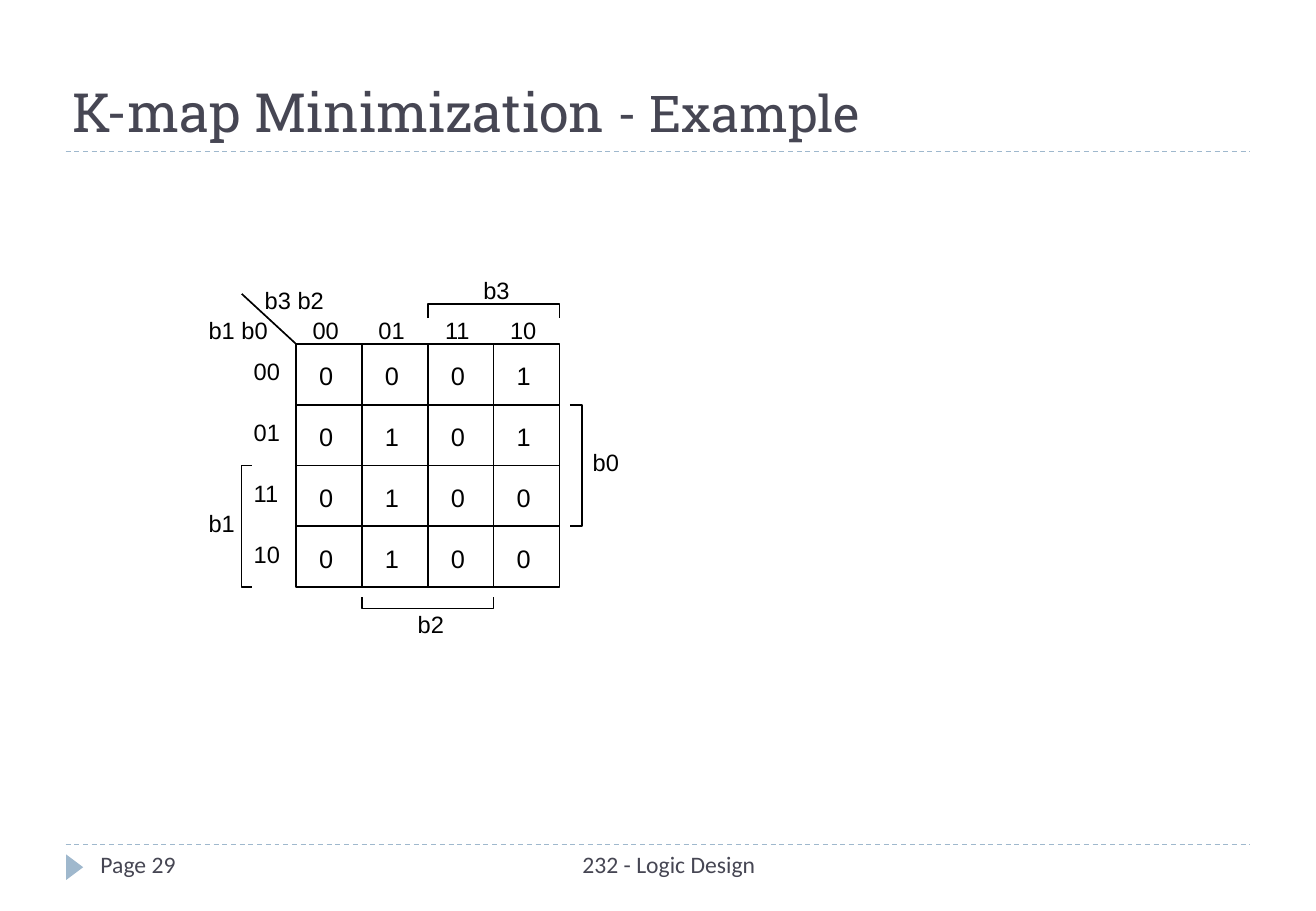
"""Build the K-map minimization example slide."""
from pptx import Presentation
from pptx import util as u
from pptx.dml.color import RGBColor
from pptx.enum import dml, shapes, text
from pptx.oxml.xmlchemy import OxmlElement

TITLE = [("K-map Minimization", "title"), (" - Example", "subtitle")]
FOOTERS = [("Page 29", 52.5, 169, "left"), ("232 - Logic Design", 247, 299, "center")]
CODES = ["00", "01", "11", "10"]
VALUES = ["0001", "0101", "0100", "0100"]
LABELS = [
    ("b3 b2", 149.8, 167.8, 50.4),
    ("b1 b0", 116.6, 185.8, 50.4),
    ("b3", 279.4, 162, 31),
    ("b1", 116.6, 300, 39),
    ("b0", 344.2, 264, 32.4),
    ("b2", 240.5, 360, 31),
]
# orientation, first and last grid line, offsets of tips and spine from the grid origin
BRACKETS = [
    ("across", 2, 4, -15.4, -24),
    ("across", 1, 3, 150, 156.8),
    ("down", 2, 4, -26.5, -32.4),
    ("down", 1, 3, 162.2, 169.3),
]
THEME = {
    "ink": RGBColor(0, 0, 0),
    "slate": RGBColor(0x46, 0x46, 0x53),
    "accent": RGBColor(0x9F, 0xB8, 0xCD),
    "title": {"name": "Roboto Slab", "size": u.Pt(32)},
    "subtitle": {"name": "Roboto Slab", "size": u.Pt(30)},
    "footer": {"name": "Calibri", "size": u.Pt(14)},
    "label": {"name": "Arial", "size": u.Pt(14)},
    "value": {"name": "Arial", "size": u.Pt(15)},
}
ALIGN = {"left": text.PP_ALIGN.LEFT, "center": text.PP_ALIGN.CENTER}
LEFT, TOP, CELL_W, CELL_H, N = 175.6, 204, 39, 36, 4
RIGHT, BOTTOM = LEFT + N * CELL_W, TOP + N * CELL_H


def set_attrs(obj, values):
    for name, value in values.items():
        setattr(obj, name, value)


def set_font(font, style, color):
    set_attrs(font, THEME[style])
    font.color.rgb = THEME[color]


def add_label(s, content, x, y, w, h=23, style="label", color="ink", align="left", spacing=0.9):
    tf = s.shapes.add_textbox(*map(u.Pt, (x, y, w, h))).text_frame
    tf.word_wrap = True
    p = tf.paragraphs[0]
    set_attrs(p, {"text": content, "alignment": ALIGN[align], "line_spacing": spacing})
    set_font(p.runs[0].font, style, color)


def add_line(s, x1, y1, x2, y2, color="ink", width=1, dash=None):
    sp = s.shapes.add_connector(shapes.MSO_CONNECTOR.STRAIGHT, *map(u.Pt, (x1, y1, x2, y2)))
    set_attrs(sp.line, {"width": u.Pt(width), "dash_style": dash})
    sp.line.color.rgb = THEME[color]
    sp._element.spPr.append(OxmlElement("a:effectLst"))


def outline(sp):
    sp.shadow.inherit = False
    sp.fill.background()
    sp.line.width = u.Pt(1)
    sp.line.color.rgb = THEME["ink"]


def add_bracket(s, direction, first, last, tip, spine):
    across = direction == "across"
    step = CELL_W if across else CELL_H
    points = [(first * step, tip), (first * step, spine), (last * step, spine), (last * step, tip)]
    if not across:
        points = [(y, x) for x, y in points]
    points = [(u.Pt(LEFT + x), u.Pt(TOP + y)) for x, y in points]
    builder = s.shapes.build_freeform(*points[0])
    builder.add_line_segments(points[1:], close=False)
    outline(builder.convert_to_shape())


def add_frame(s):
    for y in (90, 500.4):
        add_line(s, 38.9, y, 740.9, y, "accent", 0.75, dml.MSO_LINE.DASH)
    sp = s.shapes.add_shape(shapes.MSO_SHAPE.ISOSCELES_TRIANGLE, *map(u.Pt, (36.7, 509, 15.1, 10.1)))
    sp.rotation = 90
    sp.shadow.inherit = False
    sp.fill.solid()
    sp.fill.fore_color.rgb = THEME["accent"]
    sp.line.fill.background()
    for content, x, w, align in FOOTERS:
        add_label(s, content, x, 500.4, w, 28.8, "footer", "slate", align, 1.0)


def add_title(s):
    sp = s.shapes.title
    set_attrs(sp, dict(zip(("left", "top", "width", "height"), map(u.Pt, (36, 18, 692.6, 70.6)))))
    tf = sp.text_frame
    set_attrs(tf, {"vertical_anchor": text.MSO_ANCHOR.BOTTOM, "auto_size": text.MSO_AUTO_SIZE.NONE})
    p = tf.paragraphs[0]
    p.alignment = ALIGN["left"]
    for content, style in TITLE:
        r = p.add_run()
        r.text = content
        set_font(r.font, style, "slate")


def add_map(s):
    size = (LEFT, TOP, N * CELL_W, N * CELL_H)
    outline(s.shapes.add_shape(shapes.MSO_SHAPE.RECTANGLE, *map(u.Pt, size)))
    for i in range(1, N):
        x, y = LEFT + i * CELL_W, TOP + i * CELL_H
        add_line(s, LEFT, y, RIGHT, y)
        add_line(s, x, TOP, x, BOTTOM)
    add_line(s, LEFT, TOP, 143.3, 174.2)
    for i, code in enumerate(CODES):
        add_label(s, code, LEFT + i * CELL_W - 2, 185.8, CELL_W, align="center")
        add_label(s, code, 143.3, TOP + i * CELL_H + 6.2, 31)
    for row, values in enumerate(VALUES):
        for col, value in enumerate(values):
            x, y = LEFT + col * CELL_W + 6.5, TOP + row * CELL_H + 6.2
            add_label(s, value, x, y, 24, 26, "value", spacing=1.0)
    for bracket in BRACKETS:
        add_bracket(s, *bracket)
    for label in LABELS:
        add_label(s, *label)


def main():
    prs = Presentation()
    set_attrs(prs, {"slide_width": u.Pt(780), "slide_height": u.Pt(540)})
    s = prs.slides.add_slide(prs.slide_layouts[5])
    add_frame(s)
    add_title(s)
    add_map(s)
    prs.save("out.pptx")


if __name__ == "__main__":
    main()
